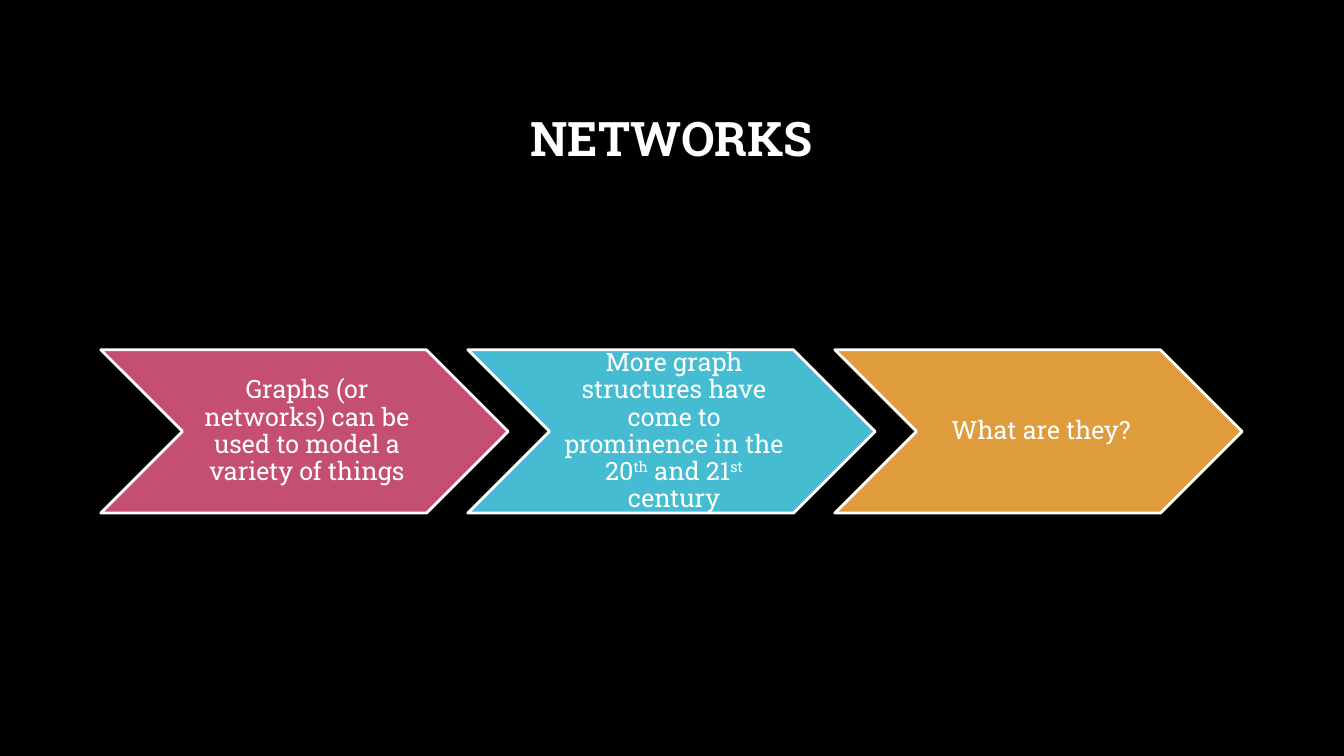
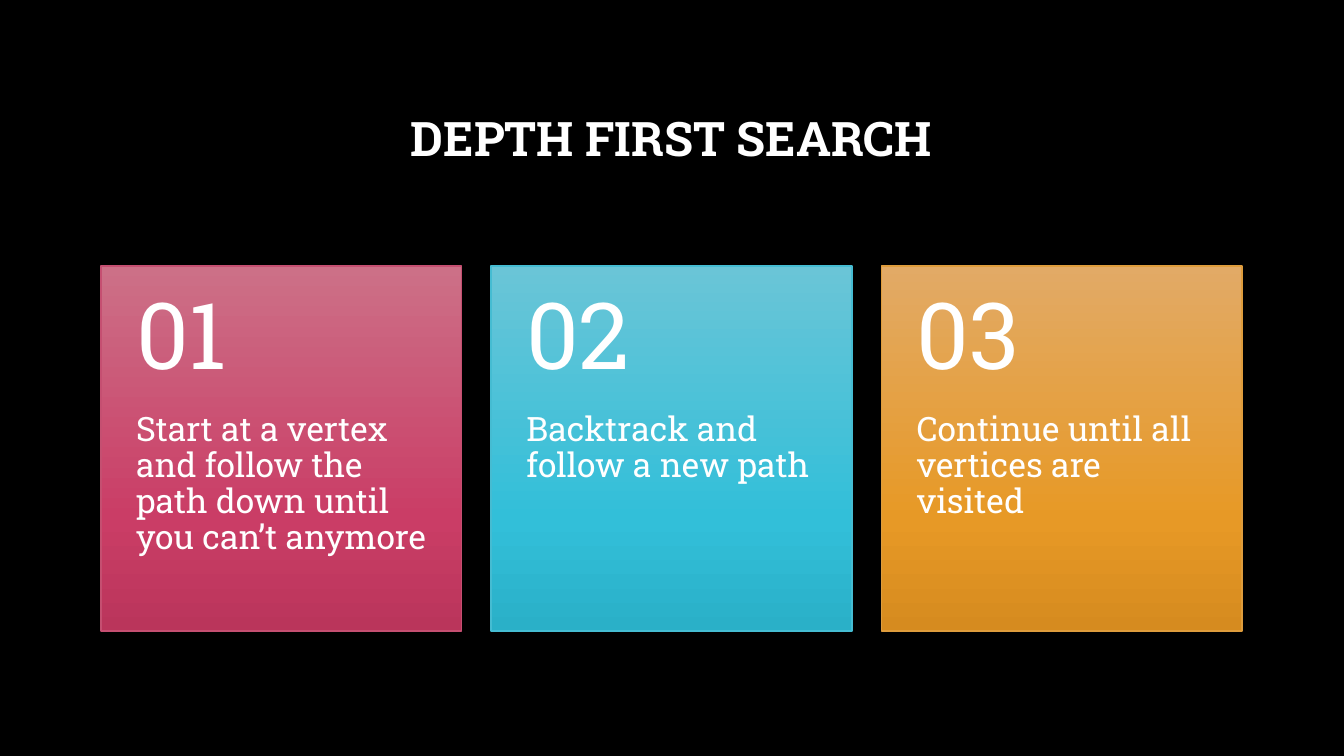
import copy
from dataclasses import dataclass
from typing import NamedTuple

import pptx
import pptx.dml.color
import pptx.enum.shapes
import pptx.enum.text
import pptx.oxml.ns
import pptx.slide
import pptx.util

Shape = pptx.enum.shapes.MSO_SHAPE
Align = pptx.enum.text.PP_ALIGN
Anchor = pptx.enum.text.MSO_ANCHOR


@dataclass(frozen=True)
class Theme:
    font: str = "Roboto Slab"
    background: str = "000000"
    ink: str = "FFFFFF"
    accents: tuple[str, ...] = ("C54F71", "45BCD2", "DE9C3C")
    gradients: tuple[tuple[str, ...], ...] = (
        ("CC7087", "CA3D66", "BA355B"),
        ("6AC5D7", "32BFD9", "2AB0C8"),
        ("E2AA66", "E79926", "D68B1F"),
    )
    gradient_positions: tuple[float, ...] = (0, 0.69, 1)
    line_spacing: float = 0.9
    title_size: int = 34
    step_size: int = 18
    card_size: int = 24
    number_size: int = 66


class Area(NamedTuple):
    """A rectangle in inches."""
    left: float
    top: float
    width: float
    height: float

    def lengths(self) -> list[pptx.util.Length]:
        return [pptx.util.Inches(value) for value in self]


class Insets(NamedTuple):
    left: float = 0.1
    top: float = 0.05
    right: float = 0.1
    bottom: float = 0.05


THEME = Theme()
SLIDE_WIDTH, SLIDE_HEIGHT = 13.33, 7.5
TITLE_AREA = Area(1, 0.67, 11.32, 1.45)
COLUMNS = 3
CHEVRON_ROW = Area(1, 3.47, 4.04, 1.62)
CARD_ROW = Area(1, 2.64, 3.58, 3.62)
NUMBER_SHARE = 0.4

# Text between carets is raised.
STEPS = (
    "Graphs (or networks) can be used to model a variety of things",
    "More graph structures have come to prominence in the "
    "20^th^ and 21^st^ century",
    "What are they?",
)
CARDS = (
    "Start at a vertex and follow the path down until you can’t anymore",
    "Backtrack and follow a new path",
    "Continue until all vertices are visited",
)


def rgb(value: str) -> pptx.dml.color.RGBColor:
    return pptx.dml.color.RGBColor.from_string(value)


def column_area(index: int, first: Area) -> Area:
    """Spread equal columns from edge to edge of the title's width."""
    pitch = (TITLE_AREA.width - first.width) / (COLUMNS - 1)
    return first._replace(left=first.left + index * pitch)


def write_text(shape, text: str, *, size: int, bold: bool = False,
               align: Align = Align.LEFT, anchor: Anchor = Anchor.MIDDLE,
               insets: Insets = Insets()) -> None:
    frame = shape.text_frame
    frame.word_wrap = True
    frame.auto_size = pptx.enum.text.MSO_AUTO_SIZE.NONE
    frame.vertical_anchor = anchor
    for side, inset in insets._asdict().items():
        setattr(frame, f"margin_{side}", pptx.util.Inches(inset))
    para = frame.paragraphs[0]
    para.alignment = align
    para.line_spacing = THEME.line_spacing
    for position, part in enumerate(text.split("^")):
        span = para.add_run()
        span.text = part
        span.font.name = THEME.font
        span.font.size = pptx.util.Pt(size)
        span.font.bold = bold
        span.font.color.rgb = rgb(THEME.ink)
        if position % 2:
            span.font._element.set("baseline", "30000")


def add_text(page: pptx.slide.Slide, area: Area, text: str, **text_format) -> None:
    write_text(page.shapes.add_textbox(*area.lengths()), text, **text_format)


def add_outlined(page: pptx.slide.Slide, kind: Shape, area: Area,
                 line_color: str, line_width: float):
    shape = page.shapes.add_shape(kind, *area.lengths())
    shape.shadow.inherit = False
    shape.line.color.rgb = rgb(line_color)
    shape.line.width = pptx.util.Pt(line_width)
    return shape


def fill_gradient(shape, colors: tuple[str, ...]) -> None:
    """Fill from top to bottom, adding the third stop that the default lacks."""
    shape.fill.gradient()
    shape.fill.gradient_angle = 270
    stop_list = shape._element.spPr.find(".//" + pptx.oxml.ns.qn("a:gsLst"))
    stop_list.append(copy.deepcopy(stop_list[0]))
    for stop, color, position in zip(
            shape.fill.gradient_stops, colors, THEME.gradient_positions):
        stop.color.rgb = rgb(color)
        stop.position = position


def add_page(deck, title: str) -> pptx.slide.Slide:
    page = deck.slides.add_slide(deck.slide_layouts.get_by_name("Title Only"))
    box = page.shapes.title
    box.left, box.top, box.width, box.height = TITLE_AREA.lengths()
    write_text(box, title, size=THEME.title_size, bold=True, align=Align.CENTER)
    return page


def add_step(page: pptx.slide.Slide, index: int, text: str) -> None:
    area = column_area(index, CHEVRON_ROW)
    chevron = add_outlined(page, Shape.CHEVRON, area, THEME.ink, 2)
    chevron.fill.solid()
    chevron.fill.fore_color.rgb = rgb(THEME.accents[index])
    notch = area.height / 2
    text_area = area._replace(left=area.left + notch, width=area.width - 2 * notch)
    add_text(page, text_area, text, size=THEME.step_size, align=Align.CENTER,
             insets=Insets(0.08, 0.03, 0.03, 0.03))


def add_card(page: pptx.slide.Slide, index: int, text: str) -> None:
    area = column_area(index, CARD_ROW)
    card = add_outlined(page, Shape.RECTANGLE, area, THEME.accents[index], 1)
    fill_gradient(card, THEME.gradients[index])
    number_height = area.height * NUMBER_SHARE
    add_text(page, area._replace(height=number_height), f"{index + 1:02}",
             size=THEME.number_size, insets=Insets(0.35, 0.18, 0.35, 0.18))
    body = area._replace(top=area.top + number_height,
                         height=area.height - number_height)
    add_text(page, body, text, size=THEME.card_size, anchor=Anchor.TOP,
             insets=Insets(0.35, 0, 0.35, 0.36))


def main() -> None:
    deck = pptx.Presentation()
    deck.slide_width = pptx.util.Inches(SLIDE_WIDTH)
    deck.slide_height = pptx.util.Inches(SLIDE_HEIGHT)
    background = deck.slide_master.background.fill
    background.solid()
    background.fore_color.rgb = rgb(THEME.background)

    networks = add_page(deck, "NETWORKS")
    for index, text in enumerate(STEPS):
        add_step(networks, index, text)

    search = add_page(deck, "DEPTH FIRST SEARCH")
    for index, text in enumerate(CARDS):
        add_card(search, index, text)

    deck.save("out.pptx")


if __name__ == "__main__":
    main()
